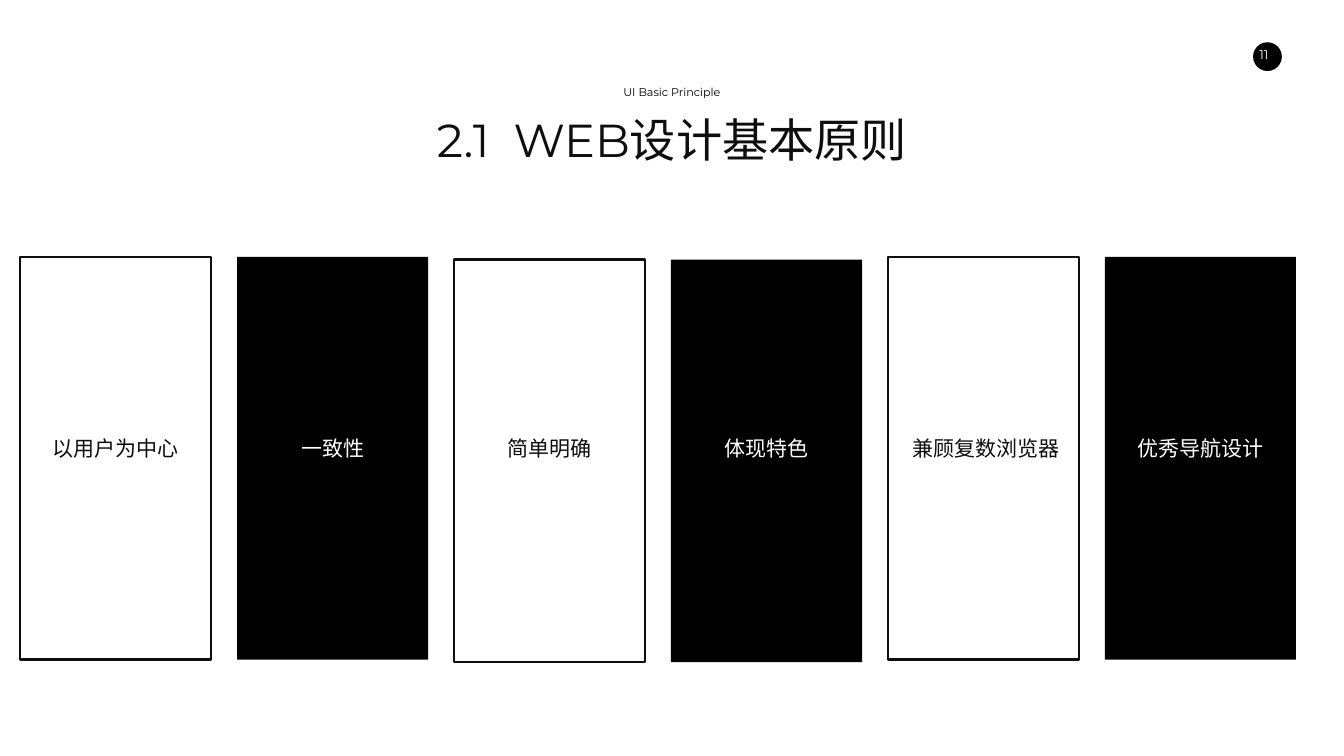
from dataclasses import dataclass
from typing import Optional

from pptx import Presentation
from pptx.dml.color import RGBColor
from pptx.enum.shapes import MSO_SHAPE as Preset
from pptx.enum.text import MSO_ANCHOR as Anchor, PP_ALIGN as Align
from pptx.util import Cm, Pt


@dataclass(frozen=True)
class Theme:
    font: str = "Montserrat"
    black: RGBColor = RGBColor(0x00, 0x00, 0x00)
    ink: RGBColor = RGBColor(0x0E, 0x0E, 0x0E)
    white: RGBColor = RGBColor(0xFF, 0xFF, 0xFF)
    title_size: int = 66
    label_size: int = 30
    page_size: int = 18
    subtitle_size: int = 16
    outline: int = 3


@dataclass(frozen=True)
class Area:
    left: float
    top: float
    width: float
    height: float

    def lengths(self) -> tuple:
        return Cm(self.left), Cm(self.top), Cm(self.width), Cm(self.height)


@dataclass(frozen=True)
class Card:
    label: str
    label_width: float
    top: float = 12.95
    label_shift: float = 0


THEME = Theme()
CARD_LEFT, CARD_PITCH = 1.02, 10.93
CARD_WIDTH, CARD_HEIGHT = 9.63, 20.29
LABEL_TOP, LABEL_HEIGHT = 21.54, 2.06
LOWERED_TOP = 13.08

CARDS = [
    Card("以用户为中心", 6.88),
    Card("一致性", 7.37),
    Card("简单明确", 8.92, top=LOWERED_TOP),
    Card("体现特色", 7.57, top=LOWERED_TOP),
    Card("兼顾复数浏览器", 8.05, label_shift=0.15),
    Card("优秀导航设计", 7.57),
]


def add_text(page, area: Area, *texts: str, size: int, color: RGBColor,
             anchor=Anchor.TOP, insets: tuple = (0.25, 0.13, 0.25, 0.13),
             space_tracking: int = 0) -> None:
    frame = page.shapes.add_textbox(*area.lengths()).text_frame
    frame.word_wrap = True
    frame.vertical_anchor = anchor
    (frame.margin_left, frame.margin_top,
     frame.margin_right, frame.margin_bottom) = map(Cm, insets)
    para = frame.paragraphs[0]
    para.alignment = Align.CENTER
    for text in texts:
        span = para.add_run()
        span.text = text
        span.font.name = THEME.font
        span.font.size = Pt(size)
        span.font.color.rgb = color
        if text == " " and space_tracking:
            span.font._element.set("spc", str(space_tracking * 100))


def add_panel(page, preset: Preset, area: Area, fill: Optional[RGBColor] = None) -> None:
    panel = page.shapes.add_shape(preset, *area.lengths())
    panel.shadow.inherit = False
    if fill is None:
        panel.fill.background()
        panel.line.color.rgb = THEME.ink
        panel.line.width = Pt(THEME.outline)
    else:
        panel.fill.solid()
        panel.fill.fore_color.rgb = fill
        panel.line.fill.background()


def add_card(page, index: int, card: Card) -> None:
    dark = index % 2 == 1
    left = CARD_LEFT + index * CARD_PITCH
    add_panel(page, Preset.RECTANGLE, Area(left, card.top, CARD_WIDTH, CARD_HEIGHT),
              THEME.black if dark else None)
    label_left = left + (CARD_WIDTH - card.label_width) / 2 + card.label_shift
    add_text(page, Area(label_left, LABEL_TOP, card.label_width, LABEL_HEIGHT), card.label,
             size=THEME.label_size, color=THEME.white if dark else THEME.ink,
             anchor=Anchor.MIDDLE)


def main() -> None:
    deck = Presentation()
    deck.slide_width, deck.slide_height = Cm(67.72), Cm(38.1)
    page = deck.slides.add_slide(deck.slide_layouts[6])

    add_panel(page, Preset.OVAL, Area(63.14, 2.13, 1.45, 1.45), THEME.black)
    add_text(page, Area(62.74, 2.13, 2.18, 1.27), "11", size=THEME.page_size,
             color=THEME.white, insets=(0.5, 0.25, 0.8, 0.25))
    add_text(page, Area(18.97, 5.46, 29.79, 3.07), "2.1", " ", "WEB设计基本原则",
             size=THEME.title_size, color=THEME.ink, space_tracking=17)
    add_text(page, Area(26.52, 4.19, 14.68, 0.94), "UI Basic Principle",
             size=THEME.subtitle_size, color=THEME.black)
    for index, card in enumerate(CARDS):
        add_card(page, index, card)

    deck.save("out.pptx")


if __name__ == "__main__":
    main()
